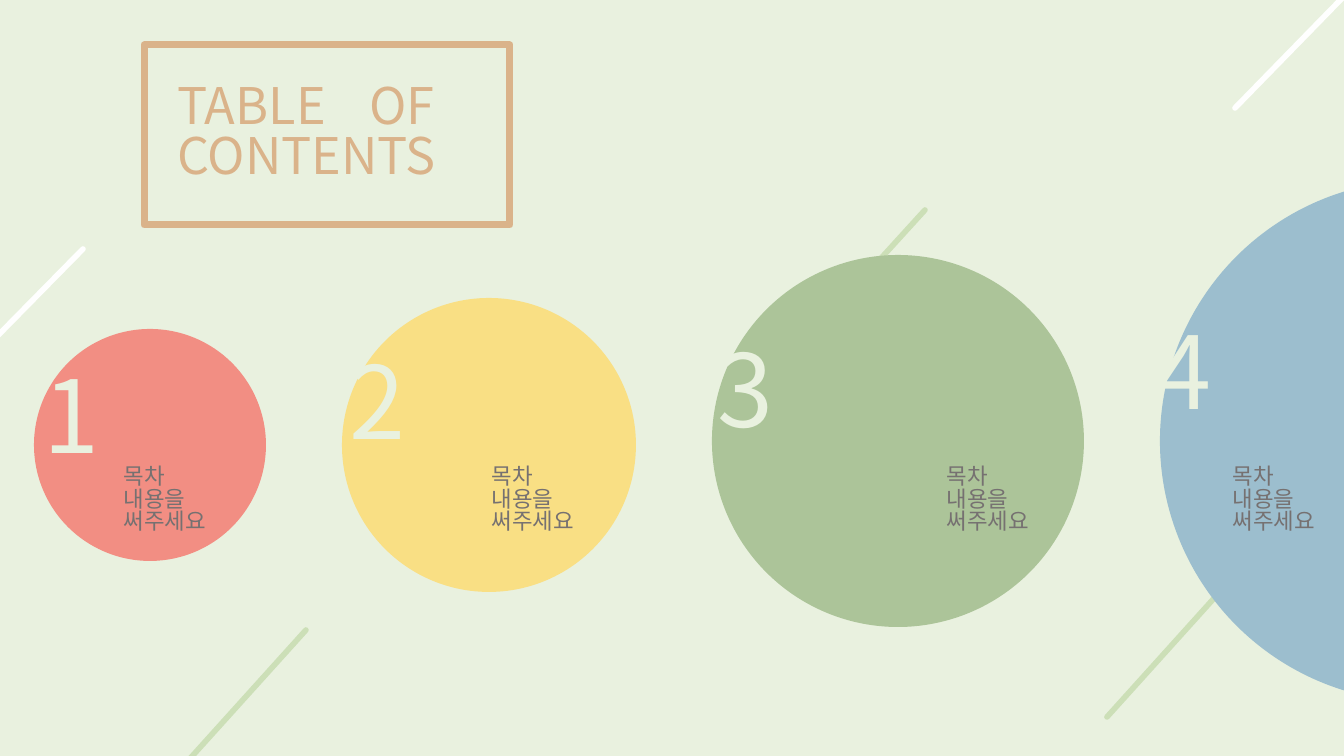
from dataclasses import dataclass

from lxml.etree import SubElement
from pptx import Presentation
from pptx.dml.color import RGBColor
from pptx.enum.shapes import MSO_CONNECTOR, MSO_SHAPE
from pptx.enum.text import MSO_ANCHOR, MSO_AUTO_SIZE, PP_ALIGN
from pptx.oxml.ns import qn
from pptx.shapes.base import BaseShape
from pptx.slide import Slide
from pptx.util import Emu, Pt

FONT = "Noto Sans CJK KR"
SCALE = 914400 / 100.8
COLORS = {
    "mint": "E9F1DF", "white": "FFFFFF", "leaf": "CCDFB7", "tan": "DAB38A",
    "gray": "767171", "red": "F28E83", "gold": "F9DF84", "green": "ACC499",
    "blue": "9CBECE",
}


@dataclass
class Streak:
    x1: int
    y1: int
    x2: int
    y2: int
    color: str


@dataclass
class Topic:
    """A circle, the corner of its number and the left of its caption."""
    left: int
    top: int
    size: int
    color: str
    num_x: int
    num_y: int
    text_x: int


STREAKS = [
    Streak(83, 249, -37, 371, "white"),
    Streak(925, 210, 722, 433, "leaf"),
    Streak(1309, 493, 1107, 717, "leaf"),
    Streak(306, 630, 103, 855, "leaf"),
    Streak(1354, -14, 1235, 108, "white"),
]
TOPICS = [
    Topic(34, 329, 232, "red", 34, 368, 114),
    Topic(342, 298, 294, "gold", 340, 354, 482),
    Topic(712, 255, 372, "green", 708, 342, 937),
    Topic(1160, 180, 522, "blue", 1146, 324, 1223),
]
CAPTION = "목차 내용을\n써주세요"


def px(n: int) -> Emu:
    return Emu(round(n * SCALE))


def rgb(name: str) -> RGBColor:
    return RGBColor.from_string(COLORS[name])


def style(shape: BaseShape, text: str, size: int, color: str) -> None:
    """Fill a text shape and format each run."""
    frame = shape.text_frame
    frame.text = text
    frame.word_wrap = True
    frame.auto_size = MSO_AUTO_SIZE.NONE
    frame.vertical_anchor = MSO_ANCHOR.TOP
    for para in frame.paragraphs:
        para.alignment = PP_ALIGN.LEFT
        para.line_spacing = 0.83
        para.space_before = Pt(0)
        for run in para.runs:
            run.font.size = Pt(size)
            run.font.name = FONT
            run.font.color.rgb = rgb(color)
            SubElement(run.font._element, qn("a:ea"), typeface=FONT)


def add_text(slide: Slide, left: int, top: int, width: int, height: int,
             text: str, size: int, color: str) -> None:
    box = slide.shapes.add_textbox(px(left), px(top), px(width), px(height))
    style(box, text, size, color)


def add_title(slide: Slide) -> None:
    title = slide.shapes.title
    title.left, title.top = px(167), px(79)
    title.width, title.height = px(334), px(132)
    style(title, "TABLE\tOF\nCONTENTS", 36, "tan")
    props = title.text_frame.paragraphs[0]._p.get_or_add_pPr()
    tabs = SubElement(props, qn("a:tabLst"))
    SubElement(tabs, qn("a:tab"), pos=str(px(192)), algn="l")


def add_frame(slide: Slide) -> None:
    frame = slide.shapes.add_shape(
        MSO_SHAPE.RECTANGLE, px(144), px(45), px(366), px(180))
    frame.shadow.inherit = False
    frame.fill.background()
    frame.line.color.rgb = rgb("tan")
    frame.line.width = Pt(5)


def add_streak(slide: Slide, streak: Streak) -> None:
    line = slide.shapes.add_connector(
        MSO_CONNECTOR.STRAIGHT, px(streak.x1), px(streak.y1),
        px(streak.x2), px(streak.y2))
    line.line.color.rgb = rgb(streak.color)
    line.line.width = Pt(4)
    line.line._get_or_add_ln().set("cap", "rnd")
    SubElement(line._element.spPr, qn("a:effectLst"))


def add_topic(slide: Slide, num: int, topic: Topic) -> None:
    disc = slide.shapes.add_shape(
        MSO_SHAPE.OVAL, px(topic.left), px(topic.top),
        px(topic.size), px(topic.size))
    disc.shadow.inherit = False
    disc.fill.solid()
    disc.fill.fore_color.rgb = rgb(topic.color)
    disc.line.fill.background()
    add_text(slide, topic.num_x, topic.num_y, 84, 132, str(num), 72, "mint")
    add_text(slide, topic.text_x, 462, 110, 92, CAPTION, 16, "gray")


def main() -> None:
    deck = Presentation()
    deck.slide_width, deck.slide_height = px(1344), px(756)
    slide = deck.slides.add_slide(deck.slide_layouts[5])
    slide.background.fill.solid()
    slide.background.fill.fore_color.rgb = rgb("mint")
    add_title(slide)
    add_frame(slide)
    for streak in STREAKS:
        add_streak(slide, streak)
    for num, topic in enumerate(TOPICS, 1):
        add_topic(slide, num, topic)
    deck.save("out.pptx")


if __name__ == "__main__":
    main()
